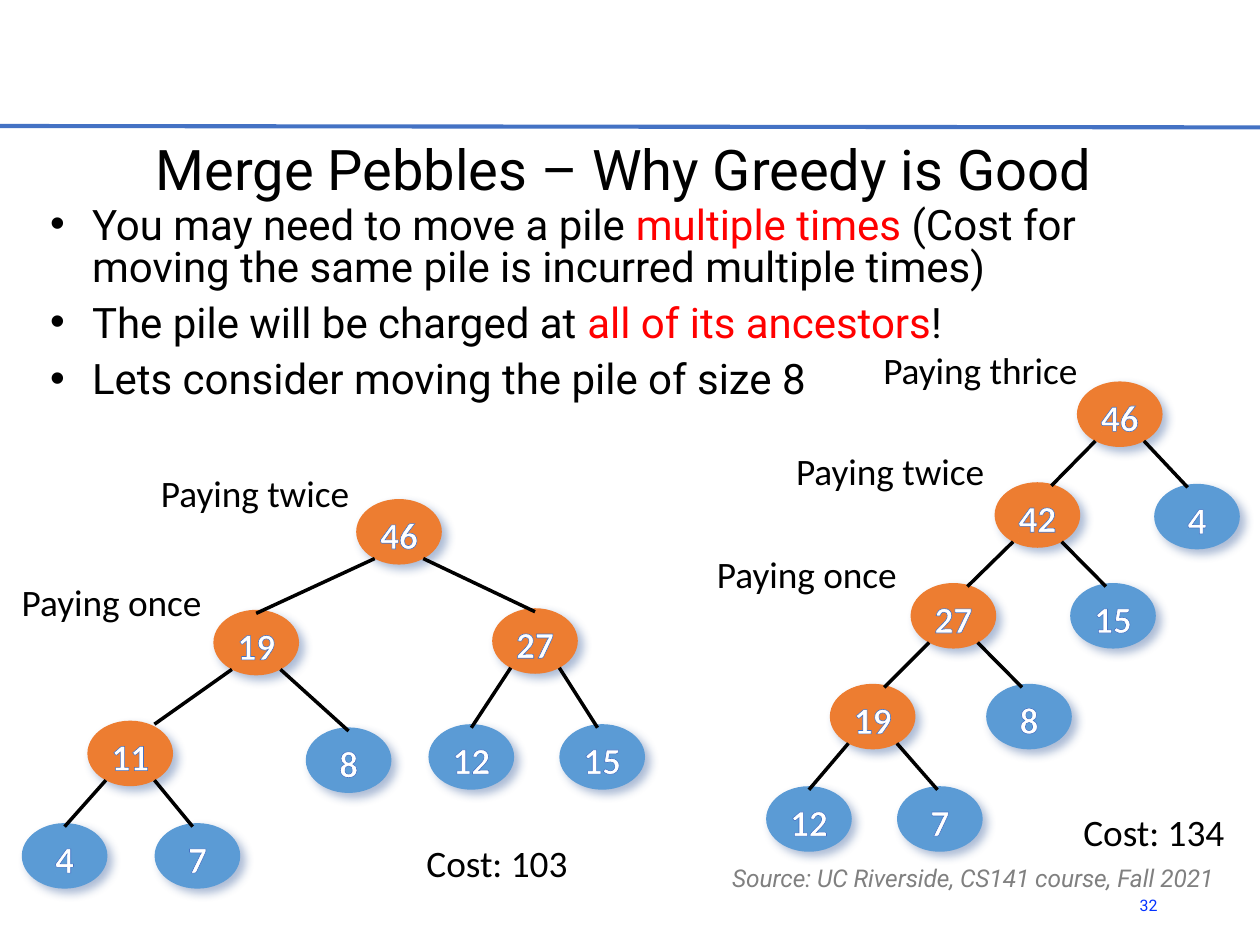
"""Build the slide comparing greedy and non-greedy pebble merge trees."""
from lxml import etree
from pptx import Presentation, oxml
from pptx.dml.color import RGBColor
from pptx.enum import shapes, text
from pptx.oxml import ns
from pptx.util import Pt

COLORS = {"black": "000000", "white": "FFFFFF", "red": "FF0000", "gray": "808080",
          "rule": "4472C4", "number": "0432FF", "merged": "ED7D31",
          "pile": "5B9BD5", "shadow": "2F5597"}
NODE_W, NODE_H = 36.72, 28.08
EXIT_X, EXIT_Y, ENTRY_Y = 10.4, 11.5, 12.5


def add_run(paragraph, words, size, font="Roboto", color="black"):
    run = paragraph.add_run()
    run.text = words
    run.font.size = Pt(size)
    run.font.name = font
    run.font.color.rgb = RGBColor.from_string(COLORS[color])
    return run


def add_line(start, end, color, width):
    line = slide.shapes.add_connector(
        shapes.MSO_CONNECTOR.STRAIGHT, *[Pt(v) for v in (*start, *end)])
    line.line.color.rgb = RGBColor.from_string(COLORS[color])
    line.line.width = Pt(width)
    etree.SubElement(line._element.spPr, ns.qn("a:effectLst"))


prs = Presentation()
prs.slide_width, prs.slide_height = Pt(540), Pt(405)
slide = prs.slides.add_slide(prs.slide_layouts[5])
add_line((0, 54), (540, 54.6), "rule", 1.75)

title = slide.shapes.title
title.left, title.top, title.width, title.height = Pt(17.3), Pt(56.9), Pt(499.7), Pt(29.5)
heading = title.text_frame
heading.auto_size = text.MSO_AUTO_SIZE.NONE
heading.vertical_anchor = text.MSO_ANCHOR.MIDDLE
heading.margin_left = heading.margin_right = heading.margin_bottom = 0
heading.margin_top = Pt(0.7)
heading.paragraphs[0].alignment = text.PP_ALIGN.CENTER
add_run(heading.paragraphs[0], "Merge Pebbles – Why Greedy is Good", 24)

points = [
    [("You may need to move a pile ", "black"), ("multiple times", "red"),
     (" (Cost for moving the same pile is incurred multiple times)", "black")],
    [("The pile will be charged at ", "black"), ("all of its ancestors", "red"), ("!", "black")],
    [("Lets consider moving the pile of size 8", "black")],
]
body = slide.shapes.add_textbox(Pt(14.4), Pt(85), Pt(506.2), Pt(291.6)).text_frame
body.word_wrap = True
for index, point in enumerate(points):
    bullet = body.add_paragraph() if index else body.paragraphs[0]
    props = bullet._p.get_or_add_pPr()
    props.set("marL", str(Pt(18)))
    props.set("indent", str(Pt(-18)))
    etree.SubElement(props, ns.qn("a:buFont"), typeface="Arial")
    etree.SubElement(props, ns.qn("a:buChar"), char="•")
    bullet.line_spacing = Pt(18)
    bullet.space_before = Pt(3 if index else 0)
    bullet.space_after = Pt(3)
    for words, color in point:
        add_run(bullet, words, 18, color=color)

source = slide.shapes.add_textbox(Pt(306.7), Pt(366.5), Pt(229), Pt(14.4)).text_frame
source.word_wrap = True
source.vertical_anchor = text.MSO_ANCHOR.MIDDLE
source.paragraphs[0].line_spacing = Pt(18)
credit = add_run(source.paragraphs[0], "Source: UC Riverside, CS141 course, Fall 2021",
                 10.5, color="gray")
credit.font.italic = True

number = slide.shapes.add_textbox(Pt(476.6), Pt(377.3), Pt(26.6), Pt(21.6)).text_frame
number.word_wrap = True
number.vertical_anchor = text.MSO_ANCHOR.MIDDLE
number.paragraphs[0].alignment = text.PP_ALIGN.RIGHT
add_run(number.paragraphs[0], "32", 6.8, color="number")

# size: (centre x, centre y, parent size, shift of the incoming edge)
greedy_tree = {
    46: (171, 227.9, None, 0), 19: (109.8, 275.4, 46, 0), 27: (229.3, 274.7, 46, 0),
    11: (55.8, 322.9, 19, 10.4), 8: (149.4, 325.8, 19, 0), 12: (202, 324.4, 27, 0),
    15: (258.1, 324.4, 27, -2), 4: (27.7, 366.8, 11, 0), 7: (84.6, 366.8, 11, -2),
}
chain_tree = {
    46: (479.9, 177.5, None, 0), 42: (444.6, 220.7, 46, 6), 4: (513, 221.4, 46, -4),
    27: (408.6, 263.9, 42, 6), 15: (477, 263.9, 42, -3), 19: (374, 307.1, 27, 5),
    8: (441, 307.1, 27, -3), 12: (346.7, 351, 19, 0), 7: (402.8, 351, 19, -1),
}
for tree in (greedy_tree, chain_tree):
    parents = {parent for _, _, parent, _ in tree.values()}
    for size, (x, y, parent, shift) in tree.items():
        node = slide.shapes.add_shape(shapes.MSO_SHAPE.OVAL, Pt(x - NODE_W / 2),
                                      Pt(y - NODE_H / 2), Pt(NODE_W), Pt(NODE_H))
        node.fill.solid()
        node.fill.fore_color.rgb = RGBColor.from_string(
            COLORS["merged" if size in parents else "pile"])
        node.line.fill.background()
        node.shadow.inherit = False
        node._element.spPr.find(ns.qn("a:effectLst")).append(oxml.parse_xml(
            f'<a:outerShdw {ns.nsdecls("a")} blurRad="{Pt(4)}" dist="{Pt(3)}" dir="2700000">'
            f'<a:srgbClr val="{COLORS["shadow"]}"><a:alpha val="40000"/></a:srgbClr>'
            '</a:outerShdw>'))
        frame = node.text_frame
        frame.word_wrap = False
        frame.vertical_anchor = text.MSO_ANCHOR.MIDDLE
        frame.margin_left = frame.margin_right = frame.margin_bottom = 0
        frame.margin_top = Pt(2)
        frame.paragraphs[0].alignment = text.PP_ALIGN.CENTER
        label = add_run(frame.paragraphs[0], str(size), 16, "Calibri", "white")
        label.font.bold = True
        label._r.get_or_add_rPr().insert(0, oxml.parse_xml(
            f'<a:ln {ns.nsdecls("a")} w="{Pt(0.8)}"><a:solidFill>'
            f'<a:srgbClr val="{COLORS["rule"]}"/></a:solidFill></a:ln>'))
    for x, y, parent, shift in tree.values():
        if parent:
            parent_x, parent_y = tree[parent][:2]
            side = EXIT_X if x > parent_x else -EXIT_X
            add_line((parent_x + side, parent_y + EXIT_Y), (x + shift, y - ENTRY_Y),
                     "black", 1.5)

notes_on_cost = [
    ("Cost: 103", 175.7, 356.4, 75.6), ("Cost: 134", 457.2, 343.4, 75.6),
    ("Paying once", 2.2, 244.8, 92.9), ("Paying twice", 61.9, 198, 96.5),
    ("Paying once", 300.2, 232.6, 92.9), ("Paying twice", 334.1, 188.6, 96.5),
    ("Paying thrice", 371.5, 145.4, 98.6),
]
for words, left, top, width in notes_on_cost:
    remark = slide.shapes.add_textbox(Pt(left), Pt(top), Pt(width), Pt(26.6)).text_frame
    remark.word_wrap = False
    add_run(remark.paragraphs[0], words, 16, "Calibri")

prs.save("out.pptx")
